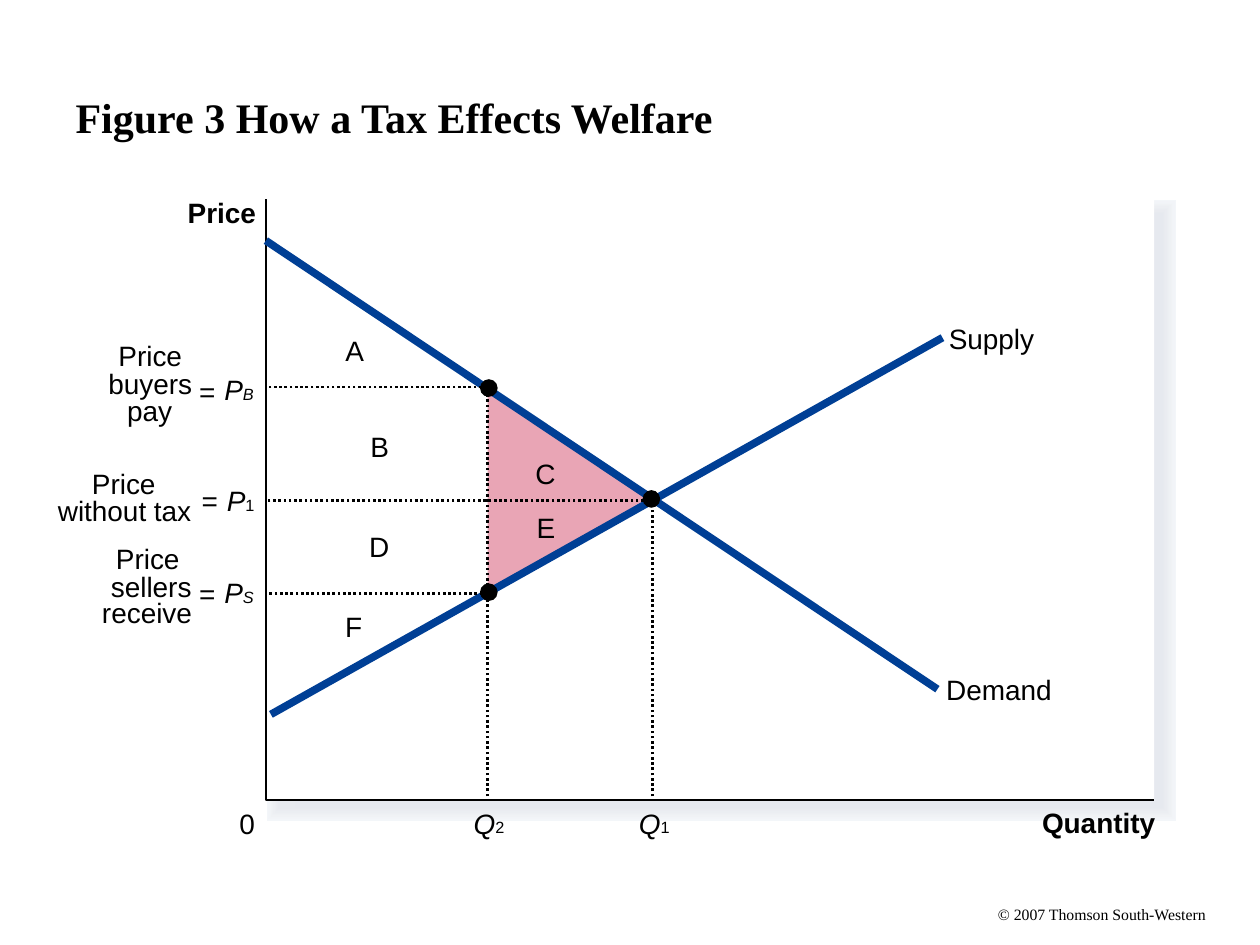
from dataclasses import dataclass

from lxml.etree import SubElement
from pptx import Presentation
from pptx.dml.color import RGBColor
from pptx.enum.dml import MSO_LINE
from pptx.enum.shapes import MSO_CONNECTOR, MSO_SHAPE
from pptx.enum.text import MSO_ANCHOR, MSO_AUTO_SIZE, PP_ALIGN
from pptx.oxml.ns import qn
from pptx.util import Pt

PX = 9144
BLACK = RGBColor(0x00, 0x00, 0x00)
WHITE = RGBColor(0xFF, 0xFF, 0xFF)
BLUE = RGBColor(0x00, 0x3F, 0x95)
PINK = RGBColor(0xE9, 0xA5, 0xB5)
SHADOW_LAYERS = [
    (RGBColor(0xF3, 0xF6, 0xF9), 16.25),
    (RGBColor(0xF2, 0xF4, 0xF8), 14.75),
    (RGBColor(0xF1, 0xF4, 0xF7), 13.25),
    (RGBColor(0xF0, 0xF2, 0xF5), 11.75),
    (RGBColor(0xEE, 0xF1, 0xF4), 10.37),
    (RGBColor(0xED, 0xEF, 0xF3), 8.87),
    (RGBColor(0xEB, 0xEE, 0xF2), 7.37),
    (RGBColor(0xEA, 0xEC, 0xF1), 5.87),
    (RGBColor(0xE9, 0xEB, 0xF0), 4.37),
    (RGBColor(0xE7, 0xEA, 0xEF), 3),
]
SHADOW_CORE = RGBColor(0xE6, 0xE9, 0xEF)

LEFT, TOP, RIGHT, BOTTOM = 211, 158, 916, 635
Q2, Q1 = 387, 518
P_BUYERS, P_1, P_SELLERS = 307, 397, 471
DOT, DROP_END, AXIS_LABEL = 14, 632, 640


@dataclass
class Label:
    text: str
    x: int
    y: int
    w: int
    h: int = 27
    sub: str = ""
    bold: bool = False
    italic: bool = False
    sub_italic: bool = False
    size: int = 16
    font: str = "Arial"


def add_run(p, text: str, label: Label, italic: bool):
    r = p.add_run()
    r.text = text
    f = r.font
    f.name, f.size, f.bold, f.italic = label.font, Pt(label.size), label.bold, italic
    f.color.rgb = BLACK
    return r


def add_label(s, label: Label) -> None:
    box = s.shapes.add_textbox(label.x * PX, label.y * PX, label.w * PX, label.h * PX)
    tf = box.text_frame
    tf.margin_left = tf.margin_right = tf.margin_top = tf.margin_bottom = 0
    tf.word_wrap = False
    tf.auto_size = MSO_AUTO_SIZE.SHAPE_TO_FIT_TEXT
    p = tf.paragraphs[0]
    add_run(p, label.text, label, label.italic)
    if label.sub:
        r = add_run(p, label.sub, label, label.sub_italic)
        r._r.get_or_add_rPr().set("baseline", "2000")


def add_block(s, kind: MSO_SHAPE, x: int, y: int, w: int, h: int,
              color: RGBColor, line: float = 0) -> None:
    sp = s.shapes.add_shape(kind, x * PX, y * PX, w * PX, h * PX)
    sp.shadow.inherit = False
    sp.fill.solid()
    sp.fill.fore_color.rgb = color
    if line:
        sp.line.color.rgb = color
        sp.line.width = Pt(line)
        SubElement(sp.line._get_or_add_ln(), qn("a:miter"), lim="800000")
    else:
        sp.line.fill.background()


def add_outline(s, points: list[tuple[int, int]], fill: RGBColor | None = None,
                dotted: bool = False) -> None:
    fb = s.shapes.build_freeform(*points[0], scale=PX)
    fb.add_line_segments(points[1:], close=fill is not None)
    sp = fb.convert_to_shape()
    sp.shadow.inherit = False
    if fill is not None:
        sp.fill.solid()
        sp.fill.fore_color.rgb = fill
        sp.line.fill.background()
        return
    sp.fill.background()
    sp.line.color.rgb = BLACK
    sp.line.width = Pt(1.5)
    if dotted:
        sp.line.dash_style = MSO_LINE.ROUND_DOT


def add_line(s, x1: int, y1: int, x2: int, y2: int, color: RGBColor,
             width: float, dotted: bool = False) -> None:
    c = s.shapes.add_connector(MSO_CONNECTOR.STRAIGHT, x1 * PX, y1 * PX, x2 * PX, y2 * PX)
    c.line.color.rgb = color
    c.line.width = Pt(width)
    if dotted:
        c.line.dash_style = MSO_LINE.ROUND_DOT
    SubElement(c._element.spPr, qn("a:effectLst"))


def add_title(s, text: str) -> None:
    sp = s.shapes.title
    sp.left, sp.top, sp.width, sp.height = 50 * PX, 30 * PX, 900 * PX, 125 * PX
    tf = sp.text_frame
    tf.vertical_anchor = MSO_ANCHOR.MIDDLE
    p = tf.paragraphs[0]
    p.alignment = PP_ALIGN.LEFT
    add_run(p, text, Label(text, 0, 0, 0, bold=True, size=24, font="Times New Roman"), False)


LABELS = [
    Label("© 2007 Thomson South-Western", 792, 718, 166, 15, size=9, font="Times New Roman"),
    Label("A", 274, 265, 15),
    Label("F", 274, 484, 14),
    Label("B", 294, 341, 15),
    Label("D", 293, 420, 16),
    Label("C", 425, 362, 16),
    Label("E", 426, 405, 15),
    Label("Quantity", 827, 639, 91, bold=True),
    Label("0", 190, AXIS_LABEL, 13),
    Label("Price", 149, 155, 56, bold=True),
    Label("Demand", 751, 534, 85),
    Label("Supply", 753, 255, 69),
    Label("=", 158, 297, 14),
    Label("P", 178, 296, 25, sub="B", italic=True, sub_italic=True),
    Label("=", 158, 458, 14),
    Label("P", 178, 457, 25, sub="S", italic=True, sub_italic=True),
    Label("=", 160, 384, 14),
    Label("P", 180, 384, 24, sub="1", italic=True),
    Label("Q", 376, AXIS_LABEL, 26, sub="2", italic=True),
    Label("Q", 507, AXIS_LABEL, 26, sub="1", italic=True),
    Label("Price", 94, 269, 52),
    Label("buyers", 86, 291, 68),
    Label("pay", 101, 312, 37),
    Label("Price", 73, 370, 52),
    Label("without tax", 46, 392, 107),
    Label("Price", 92, 430, 52),
    Label("sellers", 88, 452, 65),
    Label("receive", 81, 473, 73),
]


def main() -> None:
    prs = Presentation()
    prs.slide_width, prs.slide_height = 1000 * PX, 750 * PX
    s = prs.slides.add_slide(prs.slide_layouts[5])
    add_title(s, "Figure 3 How a Tax Effects Welfare")

    for color, width in SHADOW_LAYERS:
        add_block(s, MSO_SHAPE.RECTANGLE, 223, 170, 699, 470, color, width)
    add_block(s, MSO_SHAPE.RECTANGLE, 235, 170, 687, 470, SHADOW_CORE, 1.5)
    add_block(s, MSO_SHAPE.RECTANGLE, LEFT, TOP, RIGHT - LEFT, BOTTOM - TOP, WHITE)

    add_outline(s, [(Q2, 309), (Q2, P_SELLERS), (Q1, P_1)], fill=PINK)
    add_outline(s, [(LEFT, TOP), (LEFT, BOTTOM), (RIGHT, BOTTOM)])
    add_line(s, LEFT, 191, 744, 547, BLUE, 4.37)
    add_line(s, 748, 268, 215, 567, BLUE, 4.37)

    add_line(s, Q2, P_SELLERS, LEFT, P_SELLERS, BLACK, 1.5, dotted=True)
    for q, price in [(Q2, P_BUYERS), (Q1, P_1)]:
        add_outline(s, [(q, DROP_END), (q, price), (LEFT, price)], dotted=True)
    for x, y in [(381, 301), (381, 463), (510, 389)]:
        add_block(s, MSO_SHAPE.OVAL, x, y, DOT, DOT, BLACK)

    for label in LABELS:
        add_label(s, label)
    prs.save("out.pptx")


if __name__ == "__main__":
    main()
